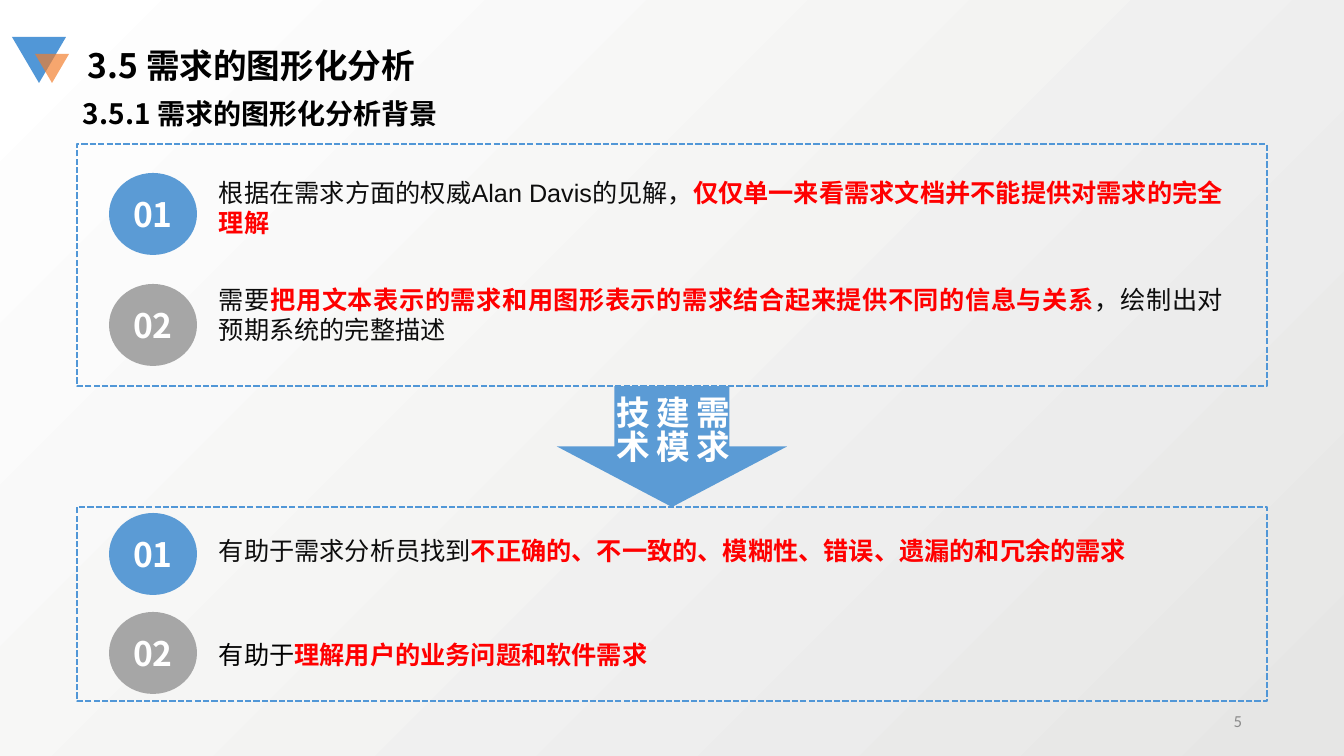
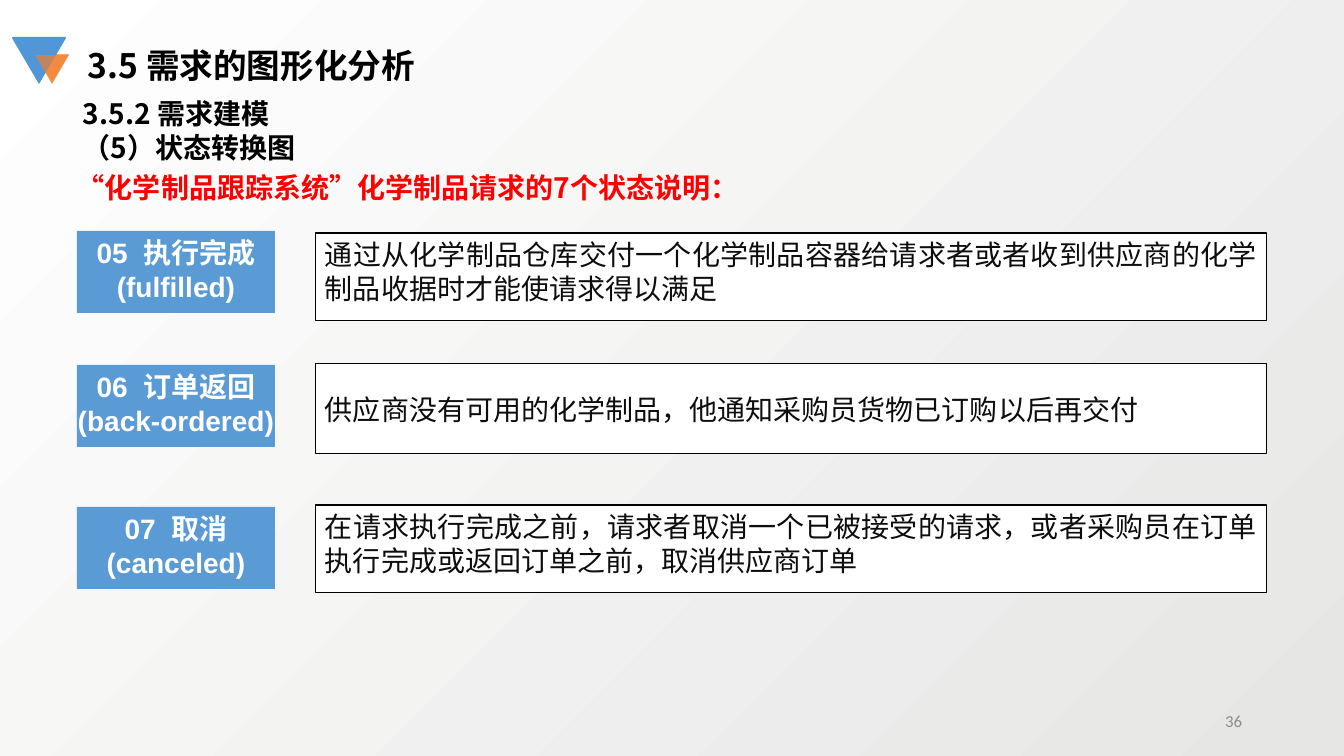
from dataclasses import dataclass

from lxml import etree
from pptx import Presentation
from pptx import util as u
from pptx.dml import color as c
from pptx.enum import dml, shapes, text
from pptx.oxml import ns

SLIDE_W, SLIDE_H = 1344, 756
EMU_PER_PX = 12192000 / SLIDE_W


@dataclass(frozen=True)
class Theme:
    # colours
    blue: str = "5B9BD5"
    accent: str = "5197D7"
    orange: str = "F37D2A"
    grey: str = "A6A6A6"
    page_grey: str = "8C8C8C"
    red: str = "FF0000"
    ink: str = "0D0D0D"
    black: str = "000000"
    white: str = "FFFFFF"
    back: tuple = ("E6E6E5", "FFFFFF")
    # fonts
    heading_font: str = "Noto Sans CJK SC"
    body_font: str = "Arial"
    number_font: str = "Calibri"
    # type sizes
    title: int = 24
    subtitle: int = 20
    body: int = 18
    page: int = 12


T = Theme()
SHAPE = shapes.MSO_SHAPE
ALIGN = text.PP_ALIGN
ANCHOR = text.MSO_ANCHOR
RED = dict(color=T.red, bold=True)


def px(n):
    return u.Emu(round(n * EMU_PER_PX))


def rgb(value):
    return c.RGBColor.from_string(value)


# ---- shared building blocks ----
def add_run(paragraph, words, size=T.body, font=T.body_font, color=T.ink,
            bold=False, spacing=0):
    run = paragraph.add_run()
    run.text = words
    run.font.size = u.Pt(size)
    run.font.bold = bold
    run.font.color.rgb = rgb(color)
    run.font.name = font
    props = run._r.get_or_add_rPr()
    props.set("lang", "zh-CN")
    if spacing:
        props.set("spc", str(spacing))
    etree.SubElement(props, ns.qn("a:ea"), typeface=T.heading_font)


def write(shape, paragraphs, align=ALIGN.LEFT, anchor=ANCHOR.TOP, wrap=True,
          **style):
    """Each paragraph is a list of (words, style changes)."""
    frame = shape.text_frame
    frame.word_wrap = wrap
    frame.vertical_anchor = anchor
    for index, runs in enumerate(paragraphs):
        paragraph = frame.add_paragraph() if index else frame.paragraphs[0]
        paragraph.alignment = align
        for words, changes in runs:
            add_run(paragraph, words, **{**style, **changes})


def plain(words):
    return [(words, {})]


def add_text(slide, box, paragraphs, **fmt):
    write(slide.shapes.add_textbox(*map(px, box)), paragraphs, **fmt)


def add_block(slide, kind, box, fill=None, line=None, width=0.75, dash=None):
    block = slide.shapes.add_shape(kind, *map(px, box))
    block.shadow.inherit = False
    if fill:
        block.fill.solid()
        block.fill.fore_color.rgb = rgb(fill)
    else:
        block.fill.background()
    if line:
        block.line.color.rgb = rgb(line)
        block.line.width = u.Pt(width)
        if dash:
            block.line.dash_style = dash
    else:
        block.line.fill.background()
    return block


# ---- parts on every slide ----
def add_emblem(slide, left, top):
    large = add_block(slide, SHAPE.ISOSCELES_TRIANGLE, (left, top, 54, 46), T.accent)
    small = add_block(slide, SHAPE.ISOSCELES_TRIANGLE,
                      (left + 23, top + 17, 34, 29), T.orange)
    large.rotation = small.rotation = 180
    tint = small.fill._xPr.find(".//" + ns.qn("a:srgbClr"))
    etree.SubElement(tint, ns.qn("a:alpha"), val="68000")


def start_slide(prs, subtitles, page, emblem_tops):
    slide = prs.slides.add_slide(prs.slide_layouts[6])
    back = slide.background.fill
    back.gradient()
    back.gradient_angle = 135
    for stop, shade in zip(back.gradient_stops, T.back):
        stop.color.rgb = rgb(shade)
    for top in emblem_tops:
        add_emblem(slide, 12, top)
    heading = dict(font=T.heading_font, color=T.black, bold=True)
    add_text(slide, (78, 40, 360, 50), [plain("3.5 需求的图形化分析")],
             size=T.title, **heading)
    add_text(slide, (73, 92, 856, 10 + 34 * len(subtitles)),
             [plain(line) for line in subtitles], size=T.subtitle, **heading)
    add_text(slide, (950, 701, 302, 40), [plain(page)], align=ALIGN.RIGHT,
             anchor=ANCHOR.MIDDLE, size=T.page, font=T.number_font,
             color=T.page_grey)
    return slide


# ---- slide on the background of graphical analysis ----
def add_panel(slide, box, points):
    """Dashed panel; each point is (badge top, text top, runs) inside it."""
    left, top, width, height = box
    add_block(slide, SHAPE.RECTANGLE, box, line=T.accent, width=1.5,
              dash=dml.MSO_LINE.SQUARE_DOT)
    for number, (badge_top, text_top, runs) in enumerate(points, 1):
        badge = add_block(slide, SHAPE.OVAL, (left + 32, top + badge_top, 88, 82),
                          T.blue if number == 1 else T.grey)
        write(badge, [plain(f"{number:02}")], align=ALIGN.CENTER,
              anchor=ANCHOR.MIDDLE, wrap=False, size=T.title,
              font=T.heading_font, color=T.white, bold=True)
        add_text(slide, (left + 132, top + text_top, width - 166, 40), [runs],
                 align=ALIGN.JUSTIFY)


def add_modeling_arrow(slide, box):
    arrow = add_block(slide, SHAPE.DOWN_ARROW, box, T.blue)
    write(arrow, [plain("需求建模技术")], align=ALIGN.CENTER,
          anchor=ANCHOR.MIDDLE, size=T.title, font=T.number_font,
          color=T.white, bold=True)
    arrow.text_frame._txBody.bodyPr.set("vert", "eaVert")


def build_background_slide(prs):
    slide = start_slide(prs, ["3.5.1 需求的图形化分析背景"], "5", [37])
    add_panel(slide, (77, 144, 1190, 242), [
        (29, 28, [("根据在需求方面的权威Alan Davis的见解，", {}),
                  ("仅仅单一来看需求文档并不能提供对需求的完全理解", RED)]),
        (140, 135, [("需要", {}),
                    ("把用文本表示的需求和用图形表示的需求结合起来提供不同的信息与关系", RED),
                    ("，绘制出对预期系统的完整描述", {})]),
    ])
    add_modeling_arrow(slide, (557, 386, 230, 121))
    add_panel(slide, (77, 507, 1190, 194), [
        (6, 23, [("有助于需求分析员找到", {}),
                 ("不正确的、不一致的、模糊性、错误、遗漏的和冗余的需求", RED)]),
        (105, 127, [("有助于", dict(color=T.black)),
                    ("理解用户的业务问题和软件需求", RED)]),
    ])


# ---- slide on the states of a request ----
def add_state(slide, box, label_shift, number, name, english, meaning, anchor):
    """Blue state label beside its boxed meaning."""
    left, top, width, height = box
    label = add_block(slide, SHAPE.RECTANGLE,
                      (left, top + label_shift, 198, 82), T.blue)
    write(label, [[(number, {}), (" ", dict(spacing=550)), (name, {})],
                  plain(english)],
          align=ALIGN.CENTER, wrap=False, size=T.subtitle, color=T.white, bold=True)
    detail = add_block(slide, SHAPE.RECTANGLE,
                       (left + 238, top, width - 238, height), T.white, T.black)
    write(detail, [plain(meaning)], align=ALIGN.JUSTIFY, anchor=anchor,
          size=T.subtitle)


def build_states_slide(prs):
    slide = start_slide(prs, ["3.5.2 需求建模", "（5）状态转换图"], "36", [37, 38])
    add_text(slide, (67, 166, 672, 44),
             [plain("“化学制品跟踪系统”化学制品请求的7个状态说明：")],
             size=T.subtitle, font=T.heading_font, **RED)
    states = [
        (233, 88, -2, "05", "执行完成", "(fulfilled)",
         "通过从化学制品仓库交付一个化学制品容器给请求者或者收到供应商的化学制品收据时才能使请求得以满足",
         ANCHOR.TOP),
        (364, 90, 1, "06", "订单返回", "(back-ordered)",
         "供应商没有可用的化学制品，他通知采购员货物已订购以后再交付",
         ANCHOR.MIDDLE),
        (505, 88, 2, "07", "取消", "(canceled)",
         "在请求执行完成之前，请求者取消一个已被接受的请求，或者采购员在订单执行完成或返回订单之前，取消供应商订单",
         ANCHOR.TOP),
    ]
    for top, height, *state in states:
        add_state(slide, (77, top, 1190, height), *state)


def main():
    prs = Presentation()
    prs.slide_width, prs.slide_height = px(SLIDE_W), px(SLIDE_H)
    build_background_slide(prs)
    build_states_slide(prs)
    prs.save("out.pptx")


if __name__ == "__main__":
    main()
